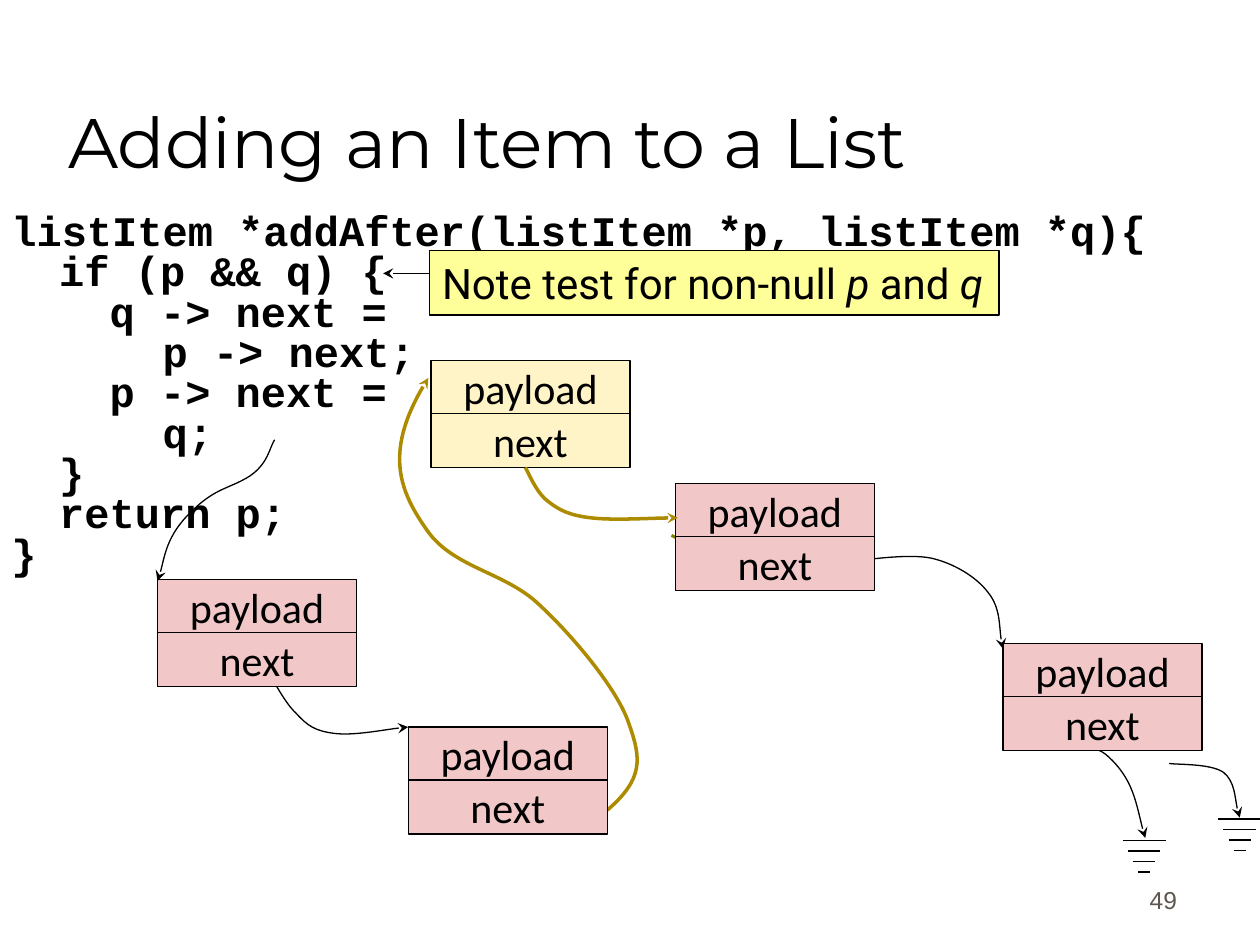
import pptx
import pptx.dml.color
import pptx.enum.shapes
import pptx.enum.text
import pptx.oxml.ns
import pptx.util
from lxml import etree

BLACK = pptx.dml.color.RGBColor(0x00, 0x00, 0x00)
GOLD = pptx.dml.color.RGBColor(0xAD, 0x8B, 0x00)
OLIVE = pptx.dml.color.RGBColor(0x80, 0x80, 0x00)
PINK = pptx.dml.color.RGBColor(0xF1, 0xC7, 0xC7)
CREAM = pptx.dml.color.RGBColor(0xFF, 0xF4, 0xC7)
YELLOW = pptx.dml.color.RGBColor(0xFF, 0xFF, 0x99)
GRAY = pptx.dml.color.RGBColor(0x5E, 0x57, 0x4E)

RECTANGLE = pptx.enum.shapes.MSO_SHAPE.RECTANGLE
STRAIGHT = pptx.enum.shapes.MSO_CONNECTOR.STRAIGHT
ANCHOR = pptx.enum.text.MSO_ANCHOR
ALIGN = pptx.enum.text.PP_ALIGN
NO_FIT = pptx.enum.text.MSO_AUTO_SIZE.NONE
qn = pptx.oxml.ns.qn

presentation = pptx.Presentation()
presentation.slide_width = pptx.util.Inches(10)
presentation.slide_height = pptx.util.Inches(7.5)
CELL = presentation.slide_width // 10  # grid of 10 columns by 7.5 rows
slide = presentation.slides.add_slide(presentation.slide_layouts[1])
shapes = slide.shapes


def style_line(shape, color, width, arrow):
    shape.line.color.rgb = color
    shape.line.width = pptx.util.Pt(width)
    properties = shape.element.find(qn("p:spPr"))
    if arrow:
        etree.SubElement(properties.find(qn("a:ln")), qn("a:tailEnd"), type="stealth")
    etree.SubElement(properties, qn("a:effectLst"))


def add_curve(color, width, start, *points):
    """Draw a Bezier arrow; points are in hundredths of a cell, three per segment."""
    builder = shapes.build_freeform(*start, scale=CELL / 100)
    builder.add_line_segments(points, close=False)
    curve = builder.convert_to_shape()
    curve.fill.background()
    outline = curve.element.find(".//" + qn("a:path"))
    segments = outline.findall(qn("a:lnTo"))
    for first in range(0, len(segments), 3):
        bezier = etree.SubElement(outline, qn("a:cubicBezTo"))
        for segment in segments[first:first + 3]:
            bezier.append(segment[0])
            outline.remove(segment)
    style_line(curve, color, width, True)


# Title
title = shapes.title
title.left, title.top, title.width, title.height = [
    round(n * CELL) for n in (0.44, 0.25, 8.5, 1.25)]
title.text_frame.text = "Adding an Item to a List"
title.text_frame.auto_size = NO_FIT
title.text_frame.vertical_anchor = ANCHOR.BOTTOM
paragraph = title.text_frame.paragraphs[0]
paragraph.alignment = ALIGN.LEFT
paragraph.font.name = "Montserrat"
paragraph.font.size = pptx.util.Pt(40)
paragraph.font.color.rgb = BLACK

# Code listing: a vertical tab is a line break inside a paragraph
code = [
    "listItem *addAfter(listItem *p, listItem *q){\vif (p && q) {\v  q -> next =",
    "      p -> next;\v  p -> next =",
    "      q;\v}\vreturn p;",
    "}",
]
body = slide.placeholders[1]
body.left, body.top, body.width, body.height = [
    round(n * CELL) for n in (-0.01, 1.65, 9.26, 5.44)]
body.text_frame.auto_size = NO_FIT
for index, text in enumerate(code):
    paragraph = body.text_frame.add_paragraph() if index else body.text_frame.paragraphs[0]
    paragraph.text = text
    paragraph.line_spacing = 0.8
    paragraph.space_before = pptx.util.Pt(0)
    properties = paragraph._p.get_or_add_pPr()
    indent = round(0.38 * CELL)
    properties.set("marL", str(indent))
    properties.set("indent", str(-indent))
    etree.SubElement(properties, qn("a:buNone"))
    paragraph.font.name = "Courier New"
    paragraph.font.size = pptx.util.Pt(24)
    paragraph.font.bold = True
    paragraph.font.color.rgb = BLACK

# Ground symbols that end the list
for center, top in ((9.84, 6.5), (9.08, 6.67)):
    for row, half_width in enumerate((0.17, 0.13, 0.09, 0.05)):
        y = top + row / 12
        bar = shapes.add_connector(STRAIGHT, *[
            round(n * CELL) for n in (center - half_width, y, center + half_width, y)])
        style_line(bar, BLACK, 0.75, False)

# Pointers behind the list items
add_curve(BLACK, 0.75, (928, 606), (935, 607), (961, 606), (971, 613),
          (980, 620), (981, 642), (984, 649))
add_curve(GOLD, 2, (482, 643), (511, 618), (509, 602), (499, 574),
          (490, 547), (455, 505), (428, 480), (401, 454), (360, 451), (339, 421),
          (318, 391), (303, 358), (340, 300))
add_curve(OLIVE, 1.75, (533, 425), (544, 430), (577, 453), (600, 453),
          (623, 452), (655, 427), (669, 420))
add_curve(BLACK, 0.75, (208, 525), (213, 532), (225, 557), (235, 566),
          (244, 576), (250, 580), (265, 582), (280, 584), (311, 578), (324, 577))
add_curve(BLACK, 0.75, (853, 590), (857, 591), (871, 593), (878, 599),
          (885, 605), (892, 613), (897, 624), (902, 635), (906, 656), (909, 665))
add_curve(BLACK, 0.75, (672, 446), (683, 445), (720, 439), (739, 443),
          (757, 447), (775, 458), (784, 470), (794, 482), (793, 505), (796, 515))

# List items
items = [(1.25, 4.6, PINK), (3.24, 5.77, PINK), (5.36, 3.84, PINK),
         (7.96, 5.11, PINK), (3.42, 2.86, CREAM)]
for left, top, color in items:
    for row, label in enumerate(("payload", "next")):
        field = shapes.add_shape(RECTANGLE, *[
            round(n * CELL) for n in (left, top + 0.42 * row, 1.58, 0.43)])
        field.fill.solid()
        field.fill.fore_color.rgb = color
        style_line(field, BLACK, 0.75, False)
        frame = field.text_frame
        frame.margin_left = frame.margin_right = round(0.03 * CELL)
        frame.margin_top = frame.margin_bottom = round(0.01 * CELL)
        frame.vertical_anchor = ANCHOR.MIDDLE
        frame.text = label
        paragraph = frame.paragraphs[0]
        paragraph.alignment = ALIGN.CENTER
        paragraph.font.name = "Calibri"
        paragraph.font.size = pptx.util.Pt(24)
        paragraph.font.color.rgb = BLACK

# Pointers in front of the list items
add_curve(BLACK, 0.75, (218, 349), (214, 355), (213, 368), (198, 378),
          (182, 388), (171, 387), (152, 406), (132, 425), (129, 452), (125, 461))
add_curve(GOLD, 2, (417, 371), (422, 381), (427, 392), (435, 398),
          (444, 405), (452, 409), (469, 411), (486, 413), (520, 411), (538, 411))

# Note on the null test
note_arrow = shapes.add_connector(STRAIGHT, *[
    round(n * CELL) for n in (4.09, 2.17, 3.04, 2.17)])
style_line(note_arrow, BLACK, 0.75, True)
note = shapes.add_shape(RECTANGLE, *[round(n * CELL) for n in (3.41, 1.99, 4.52, 0.51)])
note.fill.solid()
note.fill.fore_color.rgb = YELLOW
style_line(note, BLACK, 0.75, False)
note.text_frame.word_wrap = False
note.text_frame.vertical_anchor = ANCHOR.MIDDLE
paragraph = note.text_frame.paragraphs[0]
paragraph.alignment = ALIGN.LEFT
paragraph.font.name = "Roboto"
paragraph.font.size = pptx.util.Pt(24)
paragraph.font.color.rgb = BLACK
for text, italic in (("Note test for non-null ", False), ("p ", True),
                     ("and", False), (" q", True)):
    run = paragraph.add_run()
    run.text = text
    run.font.italic = italic

# Slide number
number = shapes.add_textbox(*[round(n * CELL) for n in (7.36, 6.81, 2.08, 0.5)])
number.text_frame.word_wrap = True
number.text_frame.vertical_anchor = ANCHOR.BOTTOM
number.text_frame.text = "49"
paragraph = number.text_frame.paragraphs[0]
paragraph.alignment = ALIGN.RIGHT
paragraph.font.name = "Arial"
paragraph.font.size = pptx.util.Pt(14)
paragraph.font.color.rgb = GRAY

presentation.save("out.pptx")
